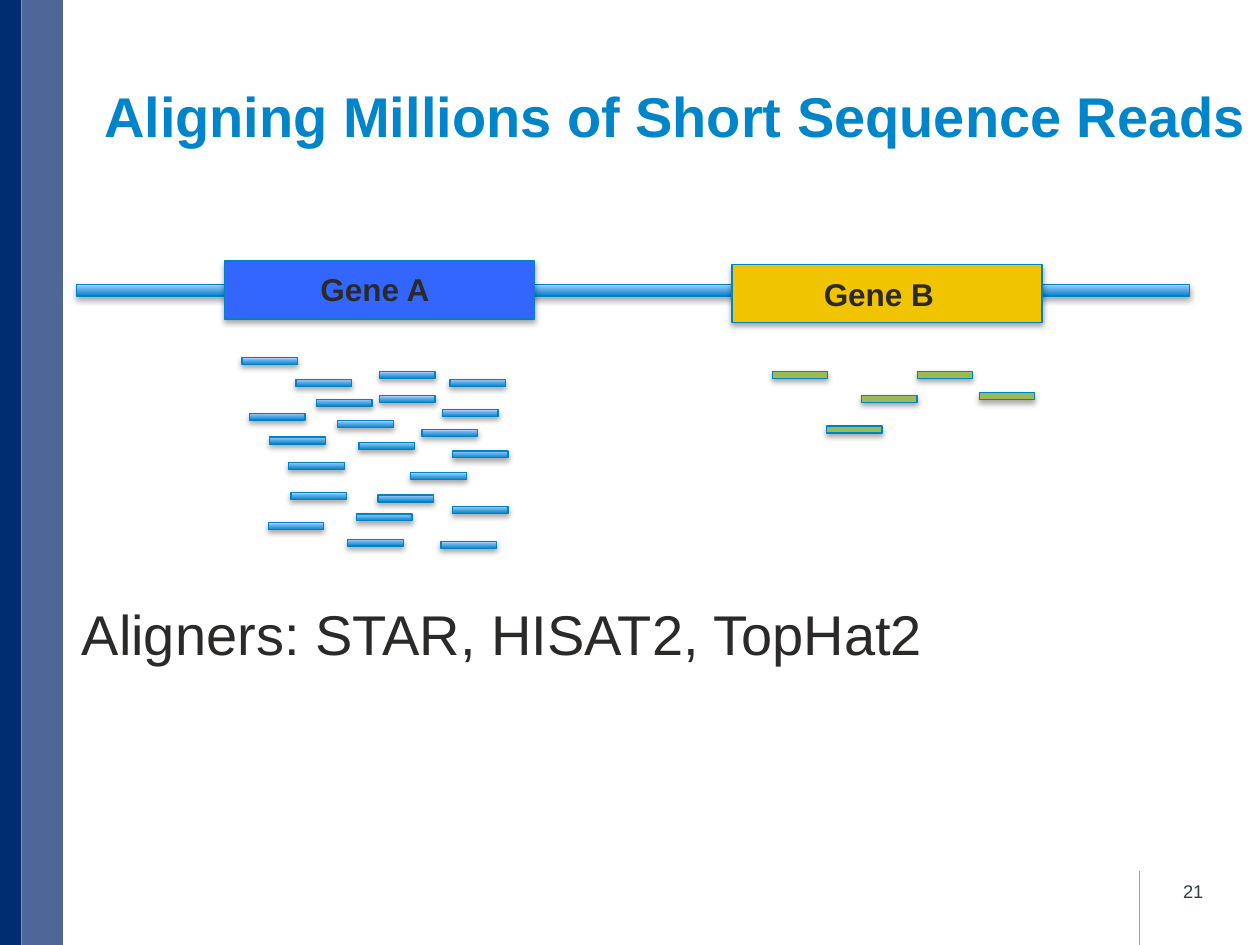
from lxml import etree
from pptx import Presentation
from pptx import util as u
from pptx.dml.color import RGBColor
from pptx.enum import shapes, text
from pptx.oxml.ns import qn

# Left and top of every read, in cm
GENE_A_READS = [
    (4.88, 7.21), (5.97, 7.65), (6.38, 8.05), (6.81, 8.48), (7.24, 8.92),
    (7.65, 7.98), (7.65, 7.49), (9.07, 7.65), (8.92, 8.26), (9.12, 9.09),
    (8.28, 9.53), (8.51, 8.66), (5.82, 9.32), (5.03, 8.33), (5.44, 8.81),
    (5.87, 9.93), (7.19, 10.36), (7.62, 9.98), (9.12, 10.21), (7.01, 10.87),
    (5.41, 10.54), (8.89, 10.92),
]
GENE_B_READS = [(15.57, 7.49), (18.49, 7.49), (17.37, 7.98), (19.74, 7.92), (16.66, 8.59)]
READ_SIZE = (1.12, 0.14)
GENE_SIZE = (6.25, 1.17)


def rgb(value):
    return RGBColor.from_string(value)


def cm(*values):
    return [u.Cm(value) for value in values]


def write(frame, words, size, color, bold=False, align="LEFT", anchor="TOP", wrap=True):
    frame.word_wrap = wrap
    frame.auto_size = text.MSO_AUTO_SIZE.NONE
    frame.vertical_anchor = getattr(text.MSO_ANCHOR, anchor)
    paragraph = frame.paragraphs[0]
    paragraph.alignment = getattr(text.PP_ALIGN, align)
    run = paragraph.add_run()
    run.text = words
    run.font.name = "Arial"
    run.font.size = u.Pt(size)
    run.font.bold = bold
    run.font.color.rgb = rgb(color)


class SlideBuilder:
    ink = "2C2A29"
    accent = "0085CA"
    outline = "0082C6"
    gradient = ("0085CA", "A4CAFF")

    def __init__(self, slide):
        self.slide = slide

    def title(self, words, box):
        heading = self.slide.shapes.title
        heading.left, heading.top, heading.width, heading.height = cm(*box)
        heading.text_frame.margin_left = 0
        write(heading.text_frame, words, 32, self.accent, bold=True, align="RIGHT", anchor="BOTTOM")

    def label(self, words, box, size, color=ink, **style):
        frame = self.slide.shapes.add_textbox(*cm(*box)).text_frame
        write(frame, words, size, color, **style)

    def band(self, box, color):
        """Flat rectangle without outline; returned for further styling."""
        band = self.slide.shapes.add_shape(shapes.MSO_SHAPE.RECTANGLE, *cm(*box))
        band.shadow.inherit = False
        band.fill.solid()
        band.fill.fore_color.rgb = rgb(color)
        band.line.fill.background()
        return band

    def bar(self, box, color=None):
        """Outlined, shadowed bar; the blue gradient is used when no color is given."""
        bar = self.band(box, color or self.accent)
        if color is None:
            bar.fill.gradient()
            bar.fill.gradient_angle = 90
            for stop, shade in zip(bar.fill.gradient_stops, self.gradient):
                stop.color.rgb = rgb(shade)
        bar.line.color.rgb = rgb(self.outline)
        bar.line.width = u.Pt(0.75)
        effects = bar._element.spPr.find(qn("a:effectLst"))
        shadow = etree.SubElement(effects, qn("a:outerShdw"), blurRad="40000",
                                  dist="23000", dir="5400000", rotWithShape="0")
        black = etree.SubElement(shadow, qn("a:srgbClr"), val="000000")
        etree.SubElement(black, qn("a:alpha"), val="35000")

    def rule(self, start, end, color):
        rule = self.slide.shapes.add_connector(shapes.MSO_CONNECTOR.STRAIGHT, *cm(*start, *end))
        rule.line.color.rgb = rgb(color)
        rule.line.width = u.Pt(0.25)
        etree.SubElement(rule._element.spPr, qn("a:effectLst"))


def main():
    deck = Presentation()
    deck.slide_width, deck.slide_height = cm(25.4, 19.05)
    page = SlideBuilder(deck.slides.add_slide(deck.slide_layouts[5]))

    # Frame: side bands, footer rule and page number
    page.rule((22.96, 17.55), (22.96, 19.05), "999999")
    page.band((0, 0, 0.43, 19.05), "002D72")
    page.band((0.43, 0, 0.84, 19.05), "4F6698")
    page.label("21", (18.59, 17.45, 5.92, 1.02), 10.5, "333F48", align="RIGHT", anchor="MIDDLE")
    page.title("Aligning Millions of Short Sequence Reads", (0, 0.89, 25.4, 2.24))

    # Genome with two genes
    page.bar((1.55, 5.74, 22.43, 0.23))
    page.bar((4.52, 5.26, *GENE_SIZE), "3366FF")
    page.bar((14.76, 5.33, *GENE_SIZE), "F1C400")

    # Short reads below each gene
    for reads, color in ((GENE_A_READS, None), (GENE_B_READS, "9BBB59")):
        for place in reads:
            page.bar((*place, *READ_SIZE), color)

    # Gene names and aligners
    page.label("Gene A", (6.17, 5.31, 2.74, 1.02), 18, bold=True, align="RIGHT", wrap=False)
    page.label("Gene B", (16.31, 5.41, 2.77, 1.02), 18, bold=True, align="RIGHT", wrap=False)
    page.label("Aligners: STAR, HISAT2, TopHat2", (1.4, 11.96, 17.6, 1.63), 32, wrap=False)

    deck.save("out.pptx")


if __name__ == "__main__":
    main()
